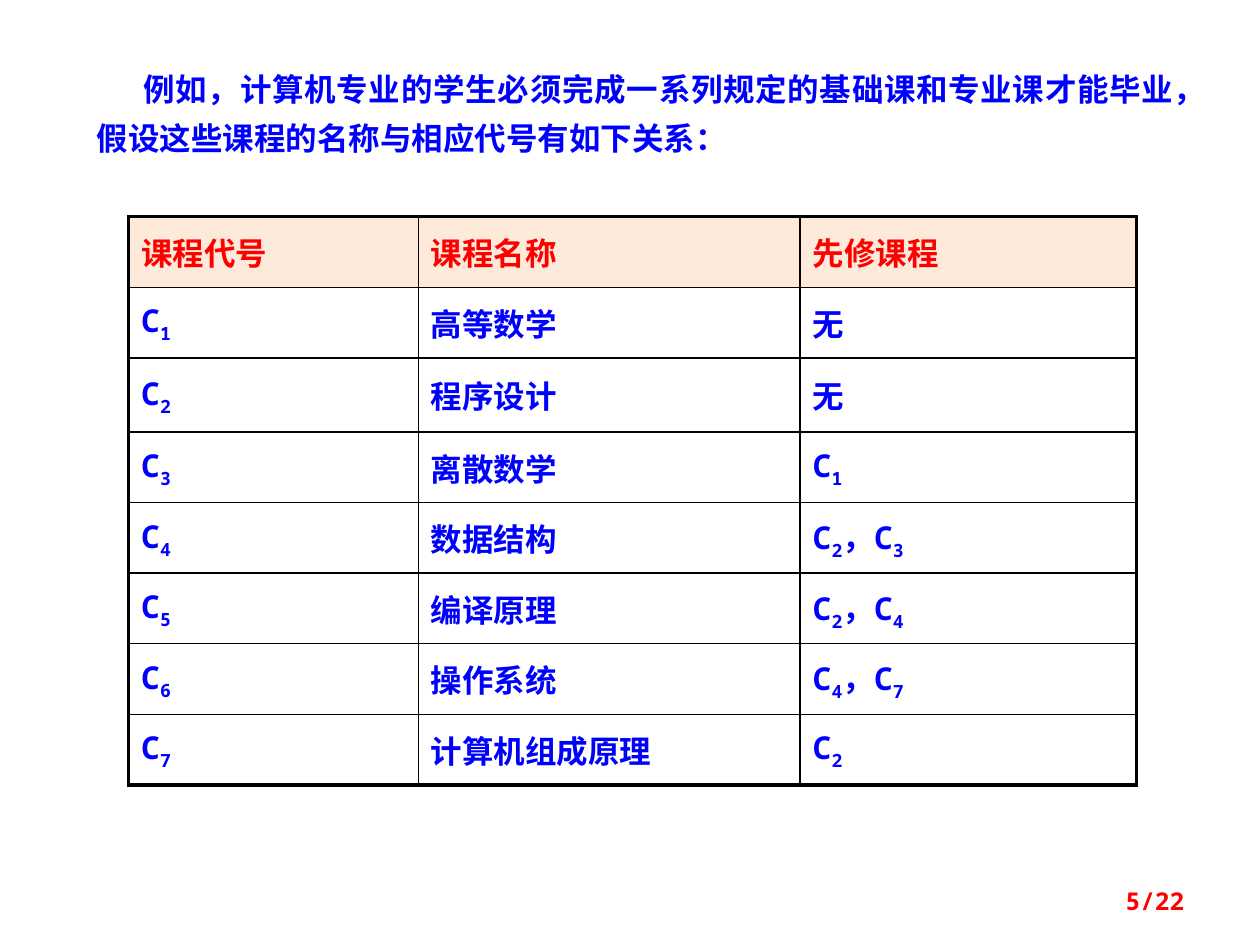
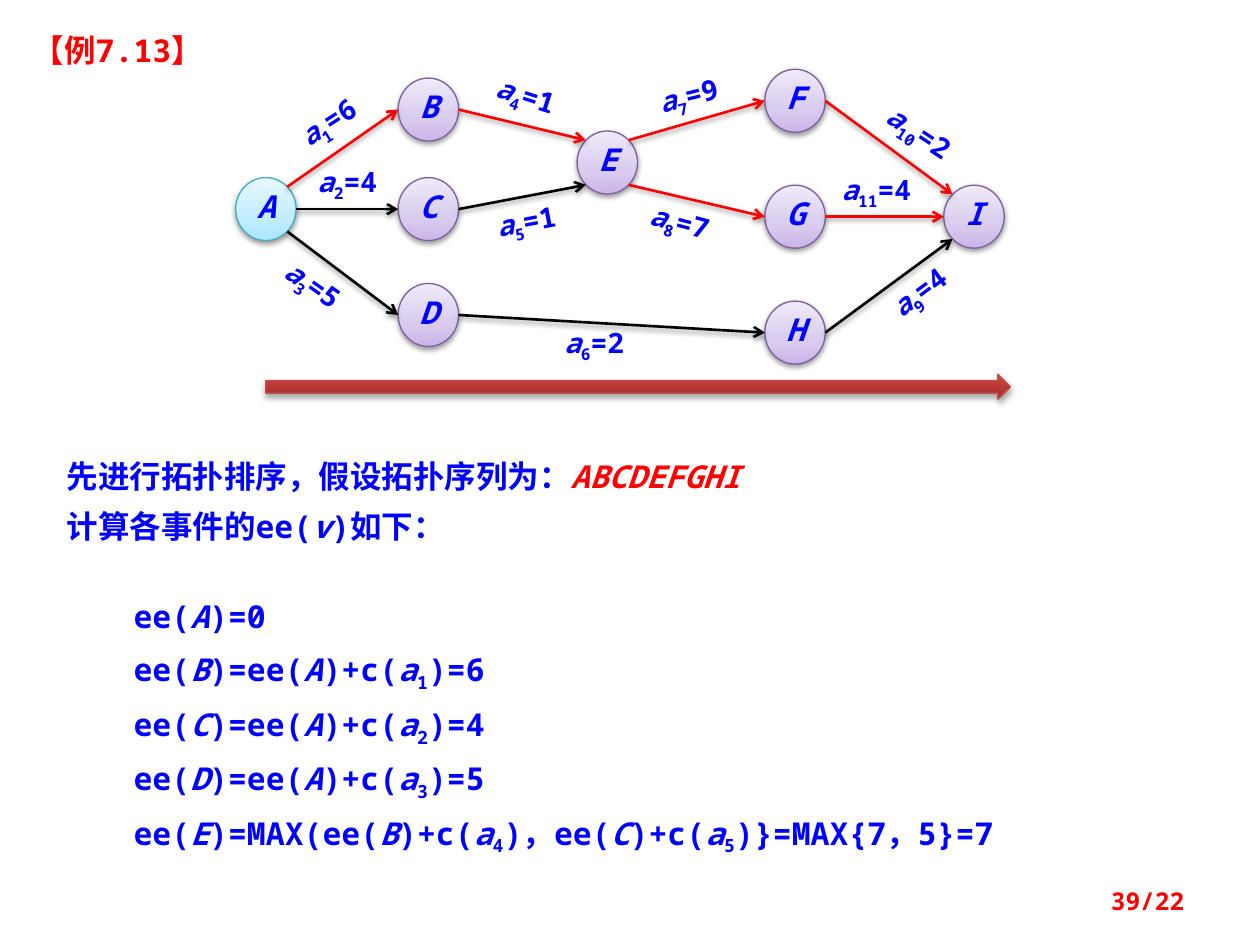
from pptx import Presentation
from pptx.dml.color import RGBColor
from pptx.enum import shapes, text
from pptx.oxml import parse_xml
from pptx.oxml.ns import nsdecls
from pptx.util import Inches, Pt

FONT = "Noto Sans Mono"
BLUE, RED, BLACK, WHITE = "0000FF", "FF0000", "000000", "FFFFFF"
HEADER_FILL = "FDEADA"
PURPLE = [(0, "C9B5E8"), (35, "D8CBEE"), (100, "F0EAF9")]
CYAN = [(0, "A7E6FF"), (35, "C1EDFF"), (100, "E7F8FF")]
BRICK = [(0, "9C2F2D"), (80, "CB3E3A"), (100, "CE3B37")]
LEFT, CENTER, RIGHT, JUSTIFY = (
    text.PP_ALIGN.LEFT, text.PP_ALIGN.CENTER, text.PP_ALIGN.RIGHT, text.PP_ALIGN.JUSTIFY)
MIDDLE, TOP = text.MSO_ANCHOR.MIDDLE, text.MSO_ANCHOR.TOP


def color(value):
    return RGBColor.from_string(value)


def inches(*values):
    return [Inches(value) for value in values]


def drawing_element(xml):
    """Parse a DrawingML element whose root tag has no namespace yet."""
    tag_end = min(xml.index(mark) for mark in " />" if mark in xml)
    return parse_xml(f"{xml[:tag_end]} {nsdecls('a')}{xml[tag_end:]}")


class Deck:
    """Holds the shared style and the slide being built."""

    def __init__(self):
        self.presentation = Presentation()
        self.presentation.slide_width, self.presentation.slide_height = inches(10, 7.5)
        self.slide = None

    def add_slide(self, page, title=None):
        layout = self.presentation.slide_layouts[6 if title is None else 5]
        self.slide = self.presentation.slides.add_slide(layout)
        if title is not None:
            shape = self.slide.shapes.title
            shape.left, shape.top, shape.width, shape.height = inches(0.16, 0.23, 1.56, 0.4)
            self.set_text(shape.text_frame, [title], RED, spacing=0.9)
        self.text_box((7.17, 6.95, 2.33, 0.4), [page], RED, size=14, align=RIGHT, anchor=MIDDLE)

    def set_text(self, frame, lines, ink=BLUE, size=18, align=LEFT, anchor=TOP,
                 spacing=None, gap=0, font=FONT, indent=0):
        """Fill a text frame; *x* marks italics and _x_ a subscript."""
        frame.word_wrap = True
        frame.auto_size = text.MSO_AUTO_SIZE.NONE
        frame.vertical_anchor = anchor
        for number, line in enumerate(lines):
            paragraph = frame.paragraphs[0] if number == 0 else frame.add_paragraph()
            self.add_runs(paragraph, line)
            paragraph.alignment = align
            paragraph.line_spacing = spacing
            paragraph.space_before = Pt(gap if number else 0)
            if indent:
                paragraph._p.get_or_add_pPr().set("indent", str(Inches(indent)))
            self.set_font(paragraph, ink, size, font)

    def set_font(self, paragraph, ink, size=18, font=FONT):
        paragraph.font.name, paragraph.font.size = font, Pt(size)
        paragraph.font.bold = True
        paragraph.font.color.rgb = color(ink)

    def add_runs(self, paragraph, line):
        for i, chunk in enumerate(line.split("*")):
            for j, piece in enumerate(chunk.split("_")):
                if not piece:
                    continue
                run = paragraph.add_run()
                run.text = piece
                if i % 2:
                    run.font.italic = True
                if j % 2:
                    run._r.get_or_add_rPr().set("baseline", "-25000")

    def text_box(self, box, lines, ink=BLUE, margins=None, rotation=0, **style):
        shape = self.slide.shapes.add_textbox(*inches(*box))
        shape.rotation = rotation
        frame = shape.text_frame
        if margins:
            (frame.margin_left, frame.margin_top,
             frame.margin_right, frame.margin_bottom) = inches(*margins)
        self.set_text(frame, lines, ink, **style)
        return shape

    def add_shadow(self, shape, alpha=38, distance=1.6):
        shape._element.spPr.append(drawing_element(
            f'<a:effectLst><a:outerShdw blurRad="{Pt(3.1)}" dist="{Pt(distance)}" dir="5400000" '
            f'rotWithShape="0"><a:srgbClr val="{BLACK}"><a:alpha val="{alpha * 1000}"/>'
            '</a:srgbClr></a:outerShdw></a:effectLst>'))

    def gradient_shape(self, kind, box, stops, outline, **shadow):
        shape = self.slide.shapes.add_shape(kind, *inches(*box))
        stop_list = "".join(f'<a:gs pos="{position * 1000}"><a:srgbClr val="{value}"/></a:gs>'
                            for position, value in stops)
        shape._element.spPr.insert(2, drawing_element(
            f'<a:gradFill rotWithShape="1"><a:gsLst>{stop_list}</a:gsLst>'
            '<a:lin ang="16200000" scaled="0"/></a:gradFill>'))
        shape.line.color.rgb = color(outline)
        shape.line.width = Pt(0.75)
        self.add_shadow(shape, **shadow)
        return shape

    def arrow(self, start, end, ink):
        connector = self.slide.shapes.add_connector(
            shapes.MSO_CONNECTOR.STRAIGHT, *inches(*start, *end))
        connector.line.color.rgb = color(ink)
        connector.line.width = Pt(1.5)
        connector.line._get_or_add_ln().append(drawing_element('<a:tailEnd type="arrow"/>'))
        self.add_shadow(connector)

    def table(self, box, widths, heights, rows):
        table = self.slide.shapes.add_table(len(rows), len(widths), *inches(*box)).table
        table.horz_banding = False
        for column, width in zip(table.columns, widths):
            column.width = Inches(width)
        for r, (row, height) in enumerate(zip(rows, heights)):
            table.rows[r].height = Inches(height)
            for c, content in enumerate(row):
                cell = table.cell(r, c)
                self.border(cell, {"L": c == 0, "R": c == len(widths) - 1,
                                   "T": r == 0, "B": r == len(rows) - 1})
                if r == 0:
                    cell.fill.solid()
                    cell.fill.fore_color.rgb = color(HEADER_FILL)
                else:
                    cell.fill.background()
                cell.vertical_anchor = MIDDLE
                paragraph = cell.text_frame.paragraphs[0]
                self.add_runs(paragraph, content)
                paragraph.alignment = JUSTIFY
                self.set_font(paragraph, RED if r == 0 else BLUE)

    def border(self, cell, outer):
        properties = cell._tc.get_or_add_tcPr()
        for side, is_outer in outer.items():
            properties.append(drawing_element(
                f'<a:ln{side} w="{Pt(2.25 if is_outer else 1)}"><a:solidFill>'
                f'<a:srgbClr val="{BLACK}"/></a:solidFill></a:ln{side}>'))


# Course table
COURSES = [
    ("高等数学", "无"),
    ("程序设计", "无"),
    ("离散数学", "C_1_"),
    ("数据结构", "C_2_，C_3_"),
    ("编译原理", "C_2_，C_4_"),
    ("操作系统", "C_4_，C_7_"),
    ("计算机组成原理", "C_2_"),
]


def build_courses(deck):
    deck.add_slide("5/22")
    rows = [("课程代号", "课程名称", "先修课程")]
    rows += [(f"C_{number}_", *course) for number, course in enumerate(COURSES, 1)]
    heights = [0.59 if r == 2 else 0.56 for r in range(len(rows))]
    deck.table((1.02, 1.72, 8, 4.51), (2.3, 3.03, 2.67), heights, rows)
    deck.text_box(
        (0.67, 0.42, 9, 0.84),
        ["例如，计算机专业的学生必须完成一系列规定的基础课和专业课才能毕业，"
         "假设这些课程的名称与相应代号有如下关系："],
        font="Times New Roman", align=JUSTIFY, spacing=Pt(28), indent=0.37)


# Activity network: event positions, then activities in order a1, a2, ...
NODE_WIDTH, NODE_HEIGHT = 0.48, 0.5
EVENTS = {
    "A": (1.87, 1.41), "B": (3.16, 0.62), "C": (3.16, 1.41),
    "D": (3.16, 2.25), "E": (4.58, 1.04), "F": (6.07, 0.55),
    "G": (6.07, 1.47), "H": (6.07, 2.39), "I": (7.49, 1.47),
}
# Rim directions, as shares of the half width and half height
SITES = {"left": (-1, 0), "right": (1, 0),
         "upper left": (-0.71, -0.71), "upper right": (0.71, -0.71),
         "lower left": (-0.71, 0.71), "lower right": (0.71, 0.71)}
# start, its site, end, its site, colour, weight, label position, label rotation
ACTIVITIES = [
    ("A", "upper right", "B", "left", RED, 6, (2.2, 0.86), 327.3),
    ("A", "right", "C", "left", BLACK, 4, (2.35, 1.33), 0),
    ("A", "lower right", "D", "left", BLACK, 5, (2.08, 2.15), 35.2),
    ("B", "right", "E", "upper left", RED, 1, (3.77, 0.65), 17.8),
    ("C", "right", "E", "lower left", BLACK, 1, (3.77, 1.65), 349.2),
    ("D", "right", "H", "left", BLACK, 2, (4.31, 2.61), 0),
    ("E", "upper right", "F", "left", RED, 9, (5.06, 0.65), 346),
    ("E", "lower right", "G", "left", RED, 7, (4.99, 1.65), 14.7),
    ("H", "right", "I", "lower left", BLACK, 4, (6.89, 2.21), 323.4),
    ("F", "right", "I", "upper left", RED, 2, (6.89, 0.94), 33.4),
    ("G", "right", "I", "left", RED, 4, (6.55, 1.4), 0),
]


def rim_point(event, site):
    left, top = EVENTS[event]
    across, down = SITES[site]
    return left + NODE_WIDTH / 2 * (1 + across), top + NODE_HEIGHT / 2 * (1 + down)


def build_network(deck):
    deck.add_slide("39/22", title="【例7.13】")

    # Earliest event times
    steps = ["ee(*A*)=0"]
    steps += [f"ee(*{event}*)=ee(*A*)+c(*a*_{number}_)={time}"
              for number, (event, time) in enumerate(zip("BCD", (6, 4, 5)), 1)]
    steps.append("ee(*E*)=MAX(ee(*B*)+c(*a*_4_)，ee(*C*)+c(*a*_5_)}=MAX{7，5}=7")
    panel = deck.text_box((0.82, 4.65, 7.38, 2.21), steps, margins=(0.24, 0.12, 0.1, 0.12),
                          align=JUSTIFY, spacing=0.9, gap=9)
    panel.fill.solid()
    panel.fill.fore_color.rgb = color(WHITE)

    # Topological order
    order = deck.text_box(
        (0.43, 3.61, 8.43, 0.85),
        ["先进行拓扑排序，假设拓扑序列为：*ABCDEFGHI*", "计算各事件的ee(*v*)如下："],
        spacing=0.9, gap=9)
    order.text_frame.paragraphs[0].runs[1].font.color.rgb = color(RED)
    deck.gradient_shape(shapes.MSO_SHAPE.RIGHT_ARROW, (2.11, 2.97, 5.91, 0.2),
                        BRICK, "BF4C48", alpha=35, distance=1.8)

    # Events
    for event, position in EVENTS.items():
        stops, outline = (CYAN, "46AAC5") if event == "A" else (PURPLE, "7D60A0")
        node = deck.gradient_shape(shapes.MSO_SHAPE.OVAL, (*position, NODE_WIDTH, NODE_HEIGHT),
                                   stops, outline)
        deck.set_text(node.text_frame, [f"*{event}*"], align=CENTER, anchor=MIDDLE, spacing=0.8)

    # Activities
    for number, activity in enumerate(ACTIVITIES, 1):
        start, start_site, end, end_site, ink, weight, position, rotation = activity
        deck.arrow(rim_point(start, start_site), rim_point(end, end_site), ink)
        deck.text_box((*position, 0.81, 0.22), [f"*a*_{number}_={weight}"], size=16,
                      margins=(0, 0, 0, 0), rotation=rotation, align=CENTER, spacing=0.8)


def main():
    deck = Deck()
    build_courses(deck)
    build_network(deck)
    deck.presentation.save("out.pptx")


if __name__ == "__main__":
    main()
